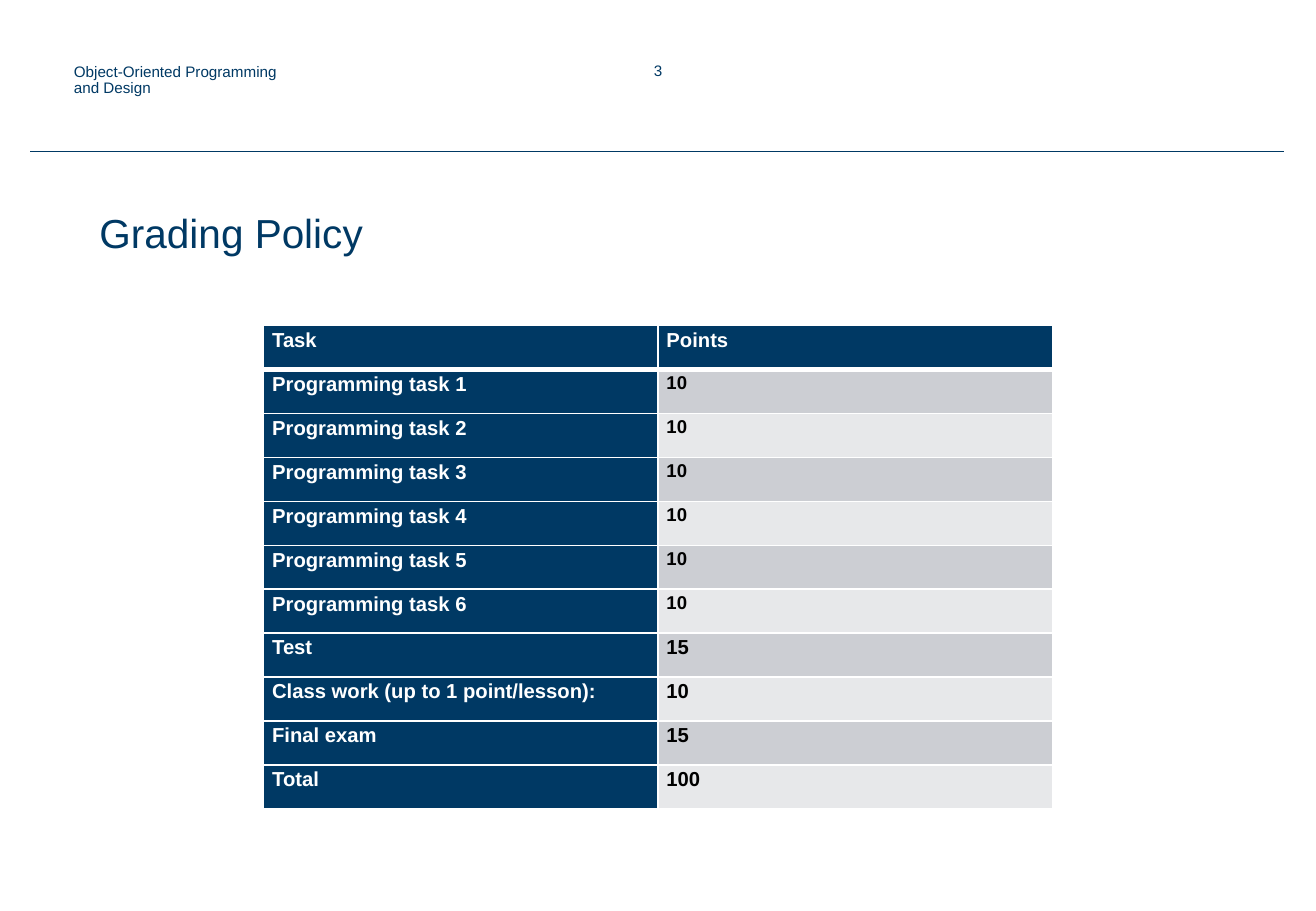
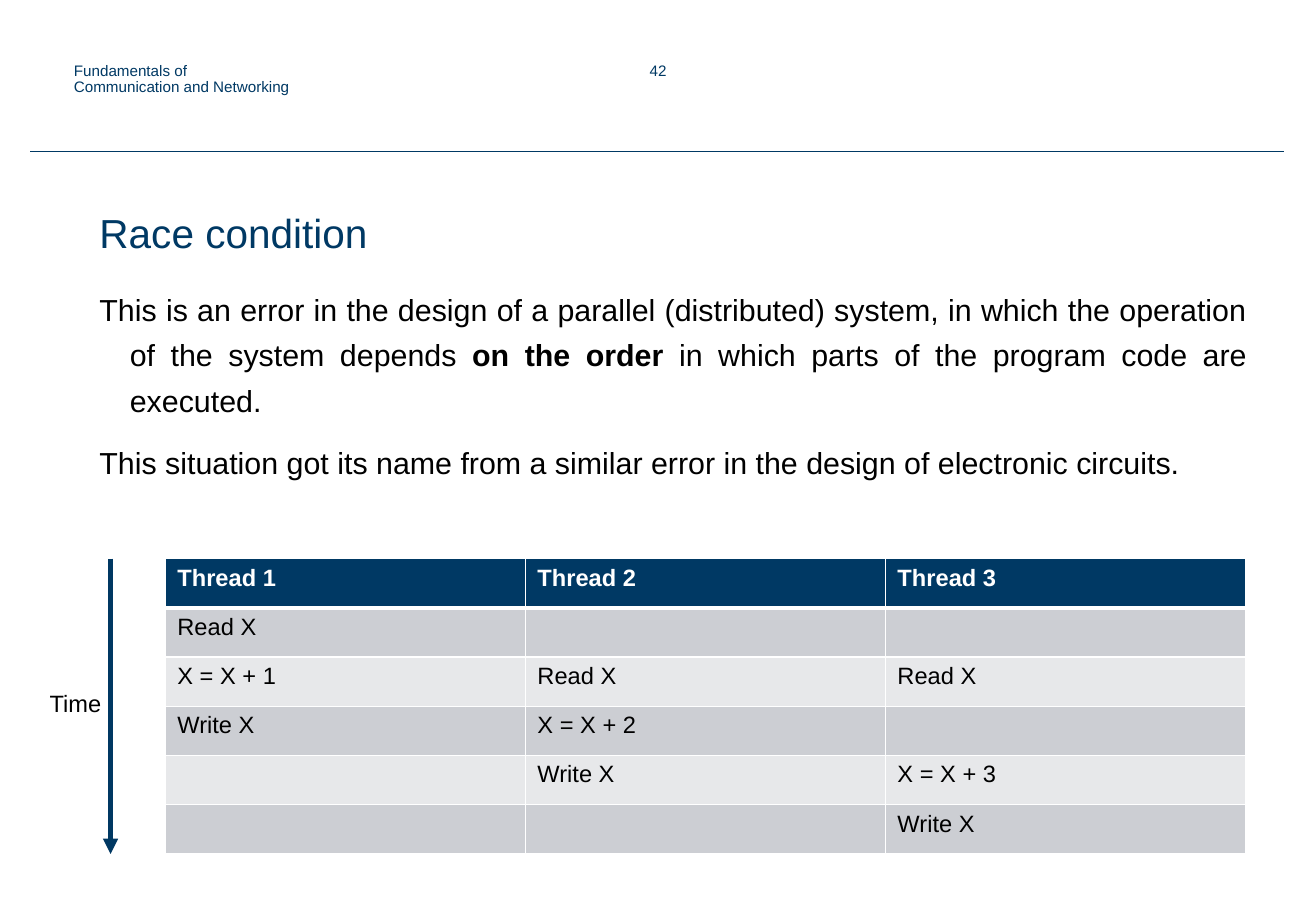
from lxml import etree
from pptx import Presentation
from pptx import util as u
from pptx.dml.color import RGBColor
from pptx.enum import shapes, text
from pptx.oxml.ns import qn

FONT = "Arial"
NAVY, ARROW_NAVY = "003964", "003862"
WHITE, BLACK = "FFFFFF", "000000"
BANDS = ("CCCED3", "E7E8EA")
LEFT, CENTER, JUSTIFY = (text.PP_ALIGN.LEFT, text.PP_ALIGN.CENTER,
                         text.PP_ALIGN.JUSTIFY)

# Label, points, point size of the points
GRADES = [(f"Programming task {number}", "10", 11) for number in range(1, 7)] + [
    ("Test", "15", 12),
    ("Class work (up to 1 point/lesson):", "10", 12),
    ("Final exam", "15", 12),
    ("Total", "100", 12),
]

# Paragraphs made of (text, bold) runs
RACE_TEXT = [
    [("This is an error in the design of a parallel (distributed) system, in which "
      "the operation of the system depends ", False),
     ("on the order ", True),
     ("in which parts of the program code are executed.", False)],
    [("This situation got its name from a similar error in the design of "
      "electronic circuits.", False)],
]

THREADS = [
    ("Thread 1", "Thread 2", "Thread 3"),
    ("Read Х", "", ""),
    ("Х = Х + 1", "Read Х", "Read Х"),
    ("Write Х", "Х = Х + 2", ""),
    ("", "Write Х", "Х = Х + 3"),
    ("", "", "Write Х"),
]


def rgb(color):
    return RGBColor.from_string(color)


def style_font(font, size, color, bold=False):
    font.name, font.size, font.bold = FONT, u.Pt(size), bold
    font.color.rgb = rgb(color)


def add_text(slide, box, paragraphs, size, color=BLACK, align=LEFT, spacing=1.0,
             hanging=False, wrap=True):
    """Add a text box; each paragraph is a list of (text, bold) runs."""
    shape = slide.shapes.add_textbox(*map(u.Inches, box))
    frame = shape.text_frame
    frame.word_wrap = wrap
    for index, runs in enumerate(paragraphs):
        paragraph = frame.add_paragraph() if index else frame.paragraphs[0]
        paragraph.alignment = align
        paragraph.line_spacing = spacing
        if index:
            paragraph.space_before = u.Pt(10)
        if hanging:
            properties = paragraph._p.get_or_add_pPr()
            properties.set("marL", str(u.Inches(0.5)))
            properties.set("indent", str(u.Inches(-0.25)))
        for content, bold in runs:
            run = paragraph.add_run()
            run.text = content
            style_font(run.font, size, color, bold)


def add_line(slide, start, end, color, width, arrow=False):
    points = map(u.Inches, (*start, *end))
    line = slide.shapes.add_connector(shapes.MSO_CONNECTOR.STRAIGHT, *points)
    line.line.color.rgb = rgb(color)
    line.line.width = u.Pt(width)
    if arrow:
        etree.SubElement(line.line._get_or_add_ln(), qn("a:tailEnd"), type="triangle")
    etree.SubElement(line._element.spPr, qn("a:effectLst"))


def set_borders(cell, row):
    """White borders, with a thick one between the heading and the body."""
    widths = {"L": 1, "R": 1, "T": 3 if row == 1 else 1, "B": 3 if row == 0 else 1}
    properties = cell._tc.get_or_add_tcPr()
    for side, width in widths.items():
        border = etree.SubElement(properties, qn(f"a:ln{side}"), w=str(u.Pt(width)))
        fill = etree.SubElement(border, qn("a:solidFill"))
        etree.SubElement(fill, qn("a:srgbClr"), val=WHITE)


def add_banded_table(slide, box, rows, navy_column=False):
    """Add a table with a navy heading row; return it for further formatting."""
    row_count, column_count = len(rows), len(rows[0])
    frame = slide.shapes.add_table(row_count, column_count, *map(u.Inches, box))
    table = frame.table
    table.horz_banding = False
    for row, values in enumerate(rows):
        for column, value in enumerate(values):
            cell = table.cell(row, column)
            navy = row == 0 or (navy_column and column == 0)
            set_borders(cell, row)
            cell.fill.solid()
            cell.fill.fore_color.rgb = rgb(NAVY if navy else BANDS[(row - 1) % 2])
            if value:
                cell.text_frame.text = value
                style_font(cell.text_frame.paragraphs[0].runs[0].font, 14,
                           WHITE if navy else BLACK, navy)
    return table


def add_base_slide(presentation, course, course_top, number, title):
    """Add a slide with the rule, page number, course name and title."""
    slide = presentation.slides.add_slide(presentation.slide_layouts[6])
    add_line(slide, (0.25, 1.25), (10.57, 1.25), NAVY, 0.75)
    add_text(slide, (4.49, 0.46, 1.85, 0.4), [[(number, False)]], 9, NAVY, CENTER)
    add_text(slide, (0.51, course_top, 2.01, 0.4), [[(course, False)]], 9, NAVY,
             spacing=0.9)
    add_text(slide, (0.47, 1.71, 4.38, 0.6), [[(title, False)]], 24, NAVY,
             spacing=0.9, hanging=True)
    return slide


def add_grading_slide(presentation):
    slide = add_base_slide(presentation, "Object-Oriented Programming and Design",
                           0.48, "3", "Grading Policy")
    rows = [("Task", "Points")] + [grade[:2] for grade in GRADES]
    point_sizes = [12] + [grade[2] for grade in GRADES]
    table = add_banded_table(slide, (2.17, 2.68, 6.49, 3.98), rows, navy_column=True)
    for row, point_size in enumerate(point_sizes):
        for column, size in enumerate((12, point_size)):
            cell = table.cell(row, column)
            cell.margin_left = cell.margin_right = u.Inches(0.07)
            cell.margin_top = cell.margin_bottom = 0
            paragraph = cell.text_frame.paragraphs[0]
            paragraph.alignment = JUSTIFY
            paragraph.line_spacing = 1.15
            paragraph.space_after = u.Pt(8)
            font = paragraph.runs[0].font
            font.size, font.bold = u.Pt(size), True


def add_race_slide(presentation):
    slide = add_base_slide(presentation, "Fundamentals of Communication and Networking",
                           0.47, "42", "Race condition")
    add_text(slide, (0.47, 2.27, 9.89, 3.93), RACE_TEXT, 18, align=JUSTIFY,
             spacing=1.25, hanging=True)
    top, height = 4.6, 2.43
    add_banded_table(slide, (1.36, top, 8.89, height), THREADS)
    add_line(slide, (0.91, top), (0.91, top + height), ARROW_NAVY, 3, arrow=True)
    add_text(slide, (0.31, 5.62, 0.64, 0.34), [[("Time", False)]], 14, wrap=False)


def main():
    presentation = Presentation()
    presentation.slide_width = u.Inches(10.83)
    presentation.slide_height = u.Inches(7.5)
    add_grading_slide(presentation)
    add_race_slide(presentation)
    presentation.save("out.pptx")


if __name__ == "__main__":
    main()
